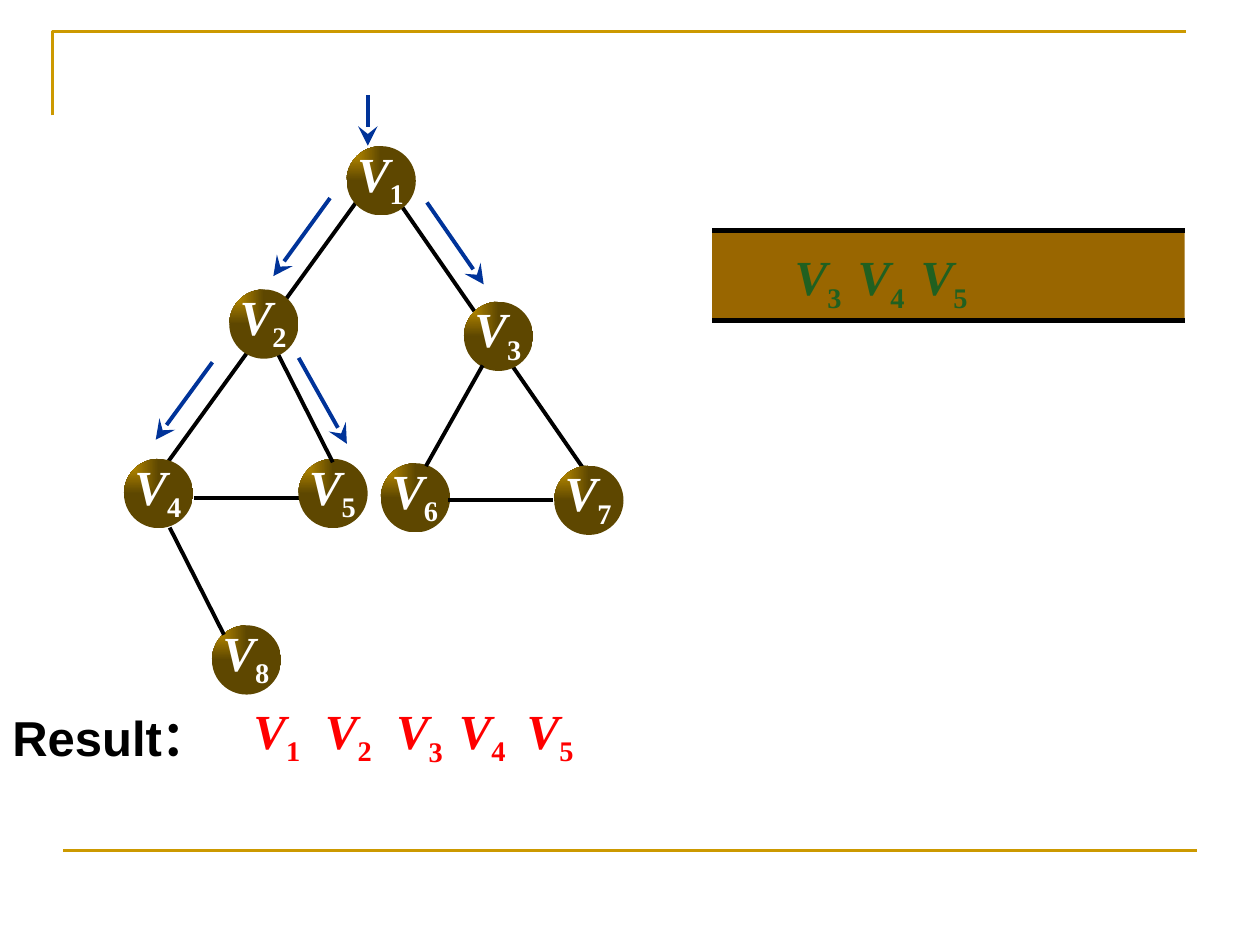
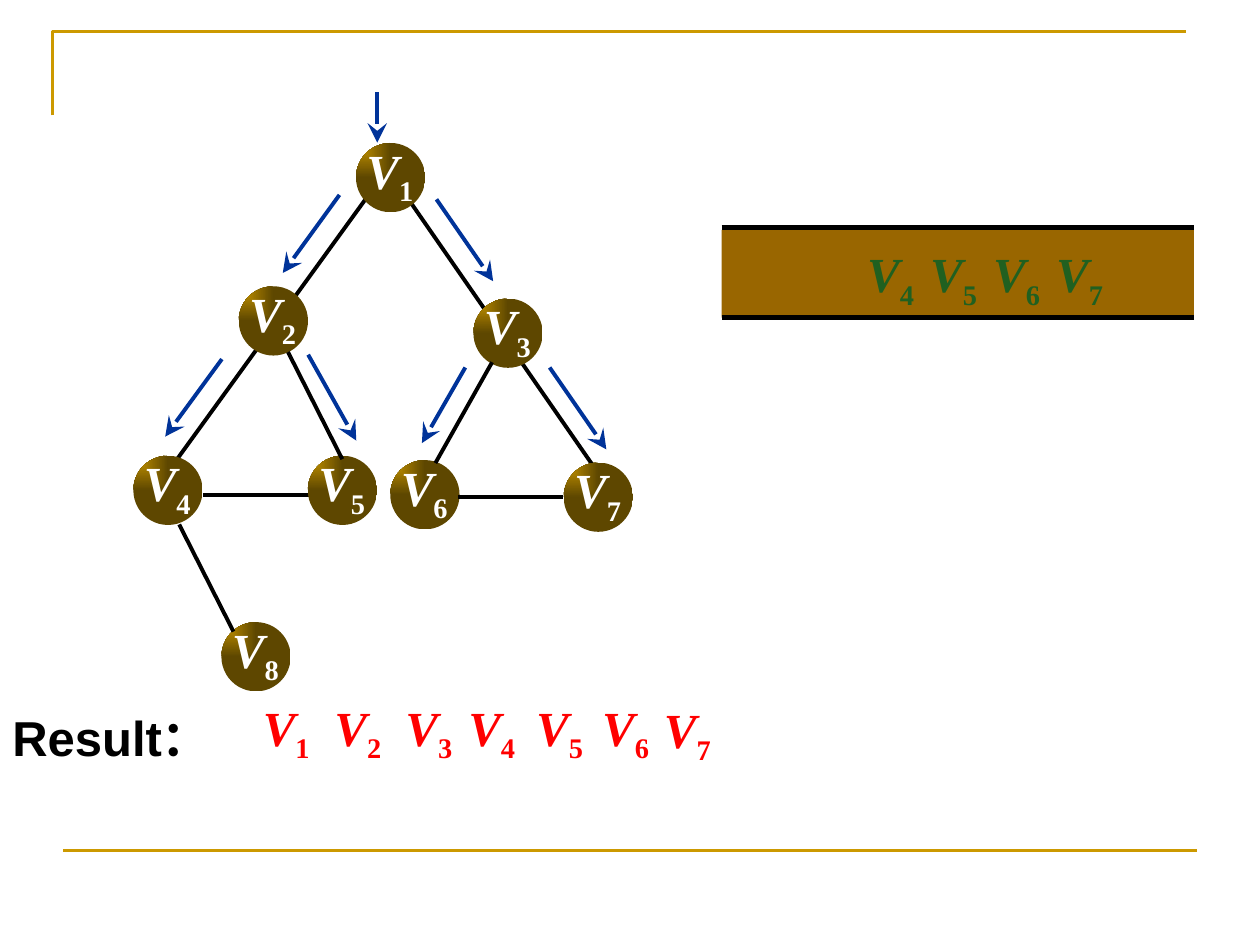
from lxml import etree
from pptx import Presentation
from pptx.dml.color import RGBColor
from pptx.enum.shapes import MSO_CONNECTOR, MSO_SHAPE
from pptx.oxml.ns import qn
from pptx.util import Pt

STRAIGHT = MSO_CONNECTOR.STRAIGHT
OVAL, RECTANGLE = MSO_SHAPE.OVAL, MSO_SHAPE.RECTANGLE

COLORS = {
    "frame": "CC9900", "node_light": "CC9900", "node_dark": "5E4700",
    "queue": "996600", "queue_label": "206020", "edge": "000000",
    "arrow": "003399", "node_label": "FFFFFF", "result": "FF0000", "text": "000000",
}
SERIF, SANS = "Times New Roman", "Arial"
FONT_SIZE = 28

# Each step moves the whole drawing by its shift, in points.
STEPS = [
    {"shift": (0, 0), "queue": [3, 4, 5], "visited": 5},
    {"shift": (5.4, -1.8), "queue": [4, 5, 6, 7], "visited": 7},
]

NODE_SIZE = 39.6
NODES = {
    1: (198, 83.5), 2: (131, 165.4), 3: (265.1, 172.4), 4: (70.8, 262.2),
    5: (170.5, 262.2), 6: (217.6, 264.7), 7: (316.7, 266.1), 8: (121.1, 357.3),
}
EDGES_BEHIND_NODES = [
    (171.4, 284.5, 110.9, 284.5),
    (229.7, 118.1, 333.4, 267.8),
    (203.8, 115.2, 95.8, 264.2),
]
EDGES_OVER_NODES = [
    (159.2, 203, 190.2, 264.2),
    (275.8, 208.8, 243.4, 266.4),
    (316.1, 285.8, 256.3, 285.8),
    (97, 301.5, 128, 362.7),
]
# The arrow at position n leads to node n + 1.
VISIT_ARROWS = [
    (210.2, 54.5, 210.2, 83.3),
    (188.6, 113.2, 156.2, 157.8),
    (244, 115.7, 276.4, 162.5),
    (121.4, 207, 89, 251.3),
    (170.7, 204.5, 198.2, 253.6),
    (260.5, 211.8, 235.7, 255),
    (308.7, 211.8, 341.1, 258.6),
]
RESULT_LABELS = [
    (143.4, 399.6), (184.3, 399.6), (224.9, 399.7), (260.8, 399.6),
    (299.6, 399.6), (337.3, 399.6), (372.6, 400.6),
]
QUEUE_LEFT, QUEUE_TOP, QUEUE_WIDTH, QUEUE_HEIGHT = 406.9, 133.1, 270, 50.2
QUEUE_LABEL_LEFT, QUEUE_LABEL_TOP, QUEUE_LABEL_STEP = 452.7, 140.4, 36


def rgb(name):
    return RGBColor.from_string(COLORS[name])


def format_run(run, font_name, color, italic=False):
    run.font.name = font_name
    run.font.size = Pt(FONT_SIZE)
    run.font.bold = True
    run.font.italic = italic
    run.font.color.rgb = rgb(color)


class Canvas:
    """Draws on a slide with every position moved by a common shift."""

    def __init__(self, slide, shift=(0, 0)):
        self.shapes = slide.shapes
        self.dx, self.dy = shift

    def point(self, x, y):
        return Pt(x + self.dx), Pt(y + self.dy)

    def line(self, ends, color, width, arrow=False):
        x1, y1, x2, y2 = ends
        connector = self.shapes.add_connector(
            STRAIGHT, *self.point(x1, y1), *self.point(x2, y2))
        connector.line.color.rgb = rgb(color)
        connector.line.width = Pt(width)
        if arrow:
            etree.SubElement(connector.line._get_or_add_ln(), qn("a:tailEnd"),
                             type="stealth", w="lg", len="lg")
        etree.SubElement(connector._element.spPr, qn("a:effectLst"))

    def shape(self, kind, left, top, width, height):
        shape = self.shapes.add_shape(kind, *self.point(left, top), Pt(width), Pt(height))
        shape.shadow.inherit = False
        shape.line.fill.background()
        return shape

    def text_box(self, left, top, width, height, margins):
        box = self.shapes.add_textbox(*self.point(left, top), Pt(width), Pt(height))
        frame = box.text_frame
        frame.word_wrap = True
        (frame.margin_left, frame.margin_top,
         frame.margin_right, frame.margin_bottom) = map(Pt, margins)
        return frame

    def vertex_label(self, number, left, top, color, size=(44.6, 35.3),
                     margins=(1.4, 0.7, 1.4, 0.7)):
        """Writes an italic V with the vertex number as subscript."""
        paragraph = self.text_box(left, top, *size, margins).paragraphs[0]
        letter, subscript = paragraph.add_run(), paragraph.add_run()
        letter.text, subscript.text = "V", str(number)
        format_run(letter, SERIF, color, italic=True)
        format_run(subscript, SERIF, color)
        subscript.font._element.set("baseline", "-25000")

    def node(self, number, left, top):
        circle = self.shape(OVAL, left, top, NODE_SIZE, NODE_SIZE)
        circle.fill.gradient()
        for stop, color, position in zip(circle.fill.gradient_stops,
                                         ("node_light", "node_dark"), (0, 1)):
            stop.color.rgb = rgb(color)
            stop.position = position
        gradient = circle._element.spPr.find(qn("a:gradFill"))
        gradient.remove(gradient.find(qn("a:lin")))
        corner = etree.Element(qn("a:path"))
        corner.set("path", "rect")
        etree.SubElement(corner, qn("a:fillToRect"), r="100000", b="100000")
        gradient.find(qn("a:gsLst")).addnext(corner)
        self.vertex_label(number, left + 5.3, top - 3.8, "node_label",
                          size=(36.7, 46.8), margins=(0.7, 2.2, 0, 0.7))


def draw_frame(canvas):
    builder = canvas.shapes.build_freeform(Pt(30), Pt(66), scale=1.0)
    builder.add_line_segments([(Pt(30), Pt(18)), (Pt(678), Pt(18))], close=False)
    corner = builder.convert_to_shape()
    corner.shadow.inherit = False
    corner.fill.background()
    corner.line.color.rgb = rgb("frame")
    corner.line.width = Pt(1.5)
    canvas.line((36, 486, 684, 486), "frame", 1.5)


def draw_queue(canvas, queue):
    bar = canvas.shape(RECTANGLE, QUEUE_LEFT, QUEUE_TOP, QUEUE_WIDTH, QUEUE_HEIGHT)
    bar.fill.solid()
    bar.fill.fore_color.rgb = rgb("queue")
    for y in (QUEUE_TOP - 1.5, QUEUE_TOP + QUEUE_HEIGHT):
        canvas.line((QUEUE_LEFT, y, QUEUE_LEFT + QUEUE_WIDTH, y), "edge", 3)
    for number in queue:
        left = QUEUE_LABEL_LEFT + (number - 3) * QUEUE_LABEL_STEP
        canvas.vertex_label(number, left, QUEUE_LABEL_TOP, "queue_label")


def draw_graph(canvas, visited):
    for ends in EDGES_BEHIND_NODES:
        canvas.line(ends, "edge", 2.25)
    for number, position in NODES.items():
        canvas.node(number, *position)
    for ends in EDGES_OVER_NODES:
        canvas.line(ends, "edge", 2.25)
    for ends in VISIT_ARROWS[:visited]:
        canvas.line(ends, "arrow", 2.25, arrow=True)


def draw_result(canvas, visited):
    for number, position in enumerate(RESULT_LABELS[:visited], start=1):
        canvas.vertex_label(number, *position, "result")


def draw_result_caption(canvas):
    frame = canvas.text_box(0, 401, 171.4, 41, (7.2, 3.6, 7.2, 3.6))
    frame.text = "Result："
    format_run(frame.paragraphs[0].runs[0], SANS, "text")


def main():
    presentation = Presentation()
    presentation.slide_width, presentation.slide_height = Pt(720), Pt(540)
    for step in STEPS:
        slide = presentation.slides.add_slide(presentation.slide_layouts[6])
        fixed, moved = Canvas(slide), Canvas(slide, step["shift"])
        draw_frame(fixed)
        draw_queue(moved, step["queue"])
        draw_graph(moved, step["visited"])
        draw_result(moved, step["visited"])
        draw_result_caption(fixed)
    presentation.save("out.pptx")


if __name__ == "__main__":
    main()
